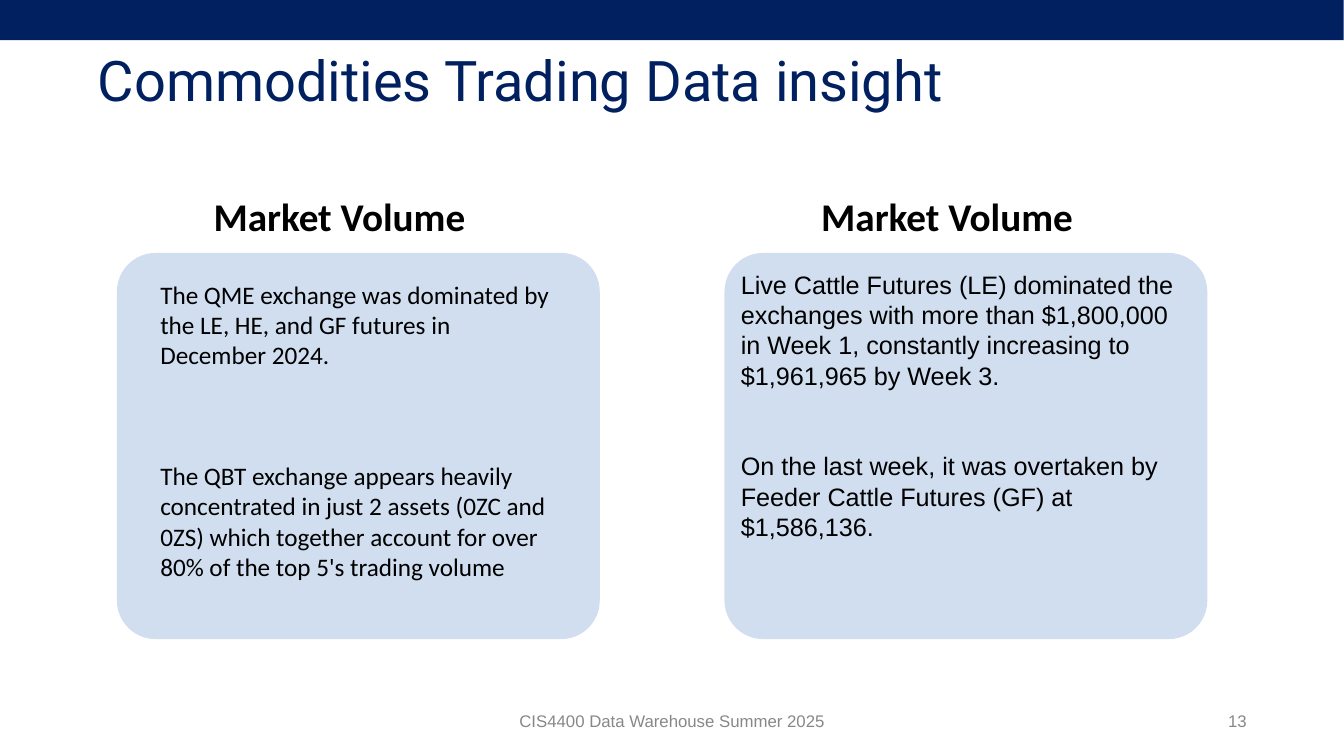
import dataclasses
import typing

import pptx
import pptx.dml.color
import pptx.enum.shapes
import pptx.enum.text
import pptx.util

Pt = pptx.util.Pt
ALIGN = pptx.enum.text.PP_ALIGN
ANCHOR = pptx.enum.text.MSO_ANCHOR
KIND = pptx.enum.shapes.MSO_SHAPE
COLORS = {"navy": "002060", "panel": "D0DEEF", "black": "000000", "gray": "888888"}
STEP = 434
LINE = 21.6


@dataclasses.dataclass
class Style:
    font: str
    size: float
    color: str = "black"
    bold: bool = False
    align: ALIGN = ALIGN.LEFT
    line: typing.Any = None
    gap: float = 0


@dataclasses.dataclass
class Label:
    left: float
    top: float
    width: float
    height: float
    lines: list[str]
    style: Style
    frame: dict[str, typing.Any] = dataclasses.field(default_factory=dict)


def tint(name: str) -> pptx.dml.color.RGBColor:
    return pptx.dml.color.RGBColor.from_string(COLORS[name])


def place(shape: typing.Any, *box: float) -> None:
    for name, value in zip(("left", "top", "width", "height"), box):
        setattr(shape, name, Pt(value))


def write(shape: typing.Any, lines: list[str], style: Style, **extra: typing.Any) -> None:
    """Fill a shape with one styled paragraph per line; extra sets the text frame."""
    frame = shape.text_frame
    sides = ("margin_left", "margin_top", "margin_right", "margin_bottom")
    format = dict.fromkeys(sides, Pt(3.6))
    format |= {"word_wrap": True, "vertical_anchor": ANCHOR.TOP} | extra
    for name, value in format.items():
        setattr(frame, name, value)
    for spot, line in enumerate(lines):
        para = frame.add_paragraph() if spot else frame.paragraphs[0]
        para.alignment = style.align
        para.line_spacing = style.line
        para.space_before = Pt(style.gap if spot else 0)
        run = para.add_run()
        run.text = line
        font = {"name": style.font, "size": Pt(style.size), "bold": style.bold}
        for name, value in font.items():
            setattr(run.font, name, value)
        run.font.color.rgb = tint(style.color)


def draw(slide: typing.Any, kind: KIND, color: str, *box: float) -> typing.Any:
    shape = slide.shapes.add_shape(kind, *map(Pt, box))
    shape.shadow.inherit = False
    shape.fill.solid()
    shape.fill.fore_color.rgb = tint(color)
    shape.line.fill.background()
    return shape


def main() -> None:
    deck = pptx.Presentation()
    deck.slide_width, deck.slide_height = Pt(960), Pt(540)
    slide = deck.slides.add_slide(deck.slide_layouts[5])

    title = slide.shapes.title
    place(title, 66.2, 28.8, 828, 104.4)
    write(title, ["Commodities Trading Data insight"],
          Style("Roboto", 40, "navy", line=0.9), margin_top=Pt(9))
    draw(slide, KIND.RECTANGLE, "navy", -1.4, -2.9, 961.2, 31.7)

    panels = []
    for side in range(2):
        panel = draw(slide, KIND.ROUNDED_RECTANGLE, "panel",
                     83.5 + side * STEP, 180.7, 344.9, 275.8)
        panel.adjustments[0] = 0.1
        panels.append(panel)
    write(panels[1], [
        "Live Cattle Futures (LE) dominated the exchanges with more than $1,800,000 "
        "in Week 1, constantly increasing to $1,961,965 by Week 3.",
        "On the last week, it was overtaken by Feeder Cattle Futures (GF) at $1,586,136.",
    ], Style("Arial", 18, line=Pt(LINE), gap=2 * LINE))

    head = Style("Calibri", 28, bold=True)
    body = Style("Calibri", 18, line=Pt(LINE), gap=3 * LINE)
    foot = Style("Arial", 12, "gray", align=ALIGN.CENTER)
    page = dataclasses.replace(foot, align=ALIGN.RIGHT)
    middle = {"vertical_anchor": ANCHOR.MIDDLE}
    labels = [
        Label(149 + side * STEP, 133.9, 214.6, 41, ["Market Volume"], head)
        for side in range(2)
    ] + [
        Label(110.9, 195.8, 289.4, 225.4, [
            "The QME exchange was dominated by the LE, HE, and GF futures in December 2024.",
            "The QBT exchange appears heavily concentrated in just 2 assets (0ZC and 0ZS) "
            "which together account for over 80% of the top 5's trading volume",
        ], body),
        Label(321.8, 504, 316.8, 21.6, ["CIS4400 Data Warehouse Summer 2025"], foot, middle),
        Label(869.2, 504.7, 25, 20.9, ["13"], page, middle),
    ]
    for label in labels:
        box = map(Pt, (label.left, label.top, label.width, label.height))
        write(slide.shapes.add_textbox(*box), label.lines, label.style, **label.frame)

    deck.save("out.pptx")


if __name__ == "__main__":
    main()
